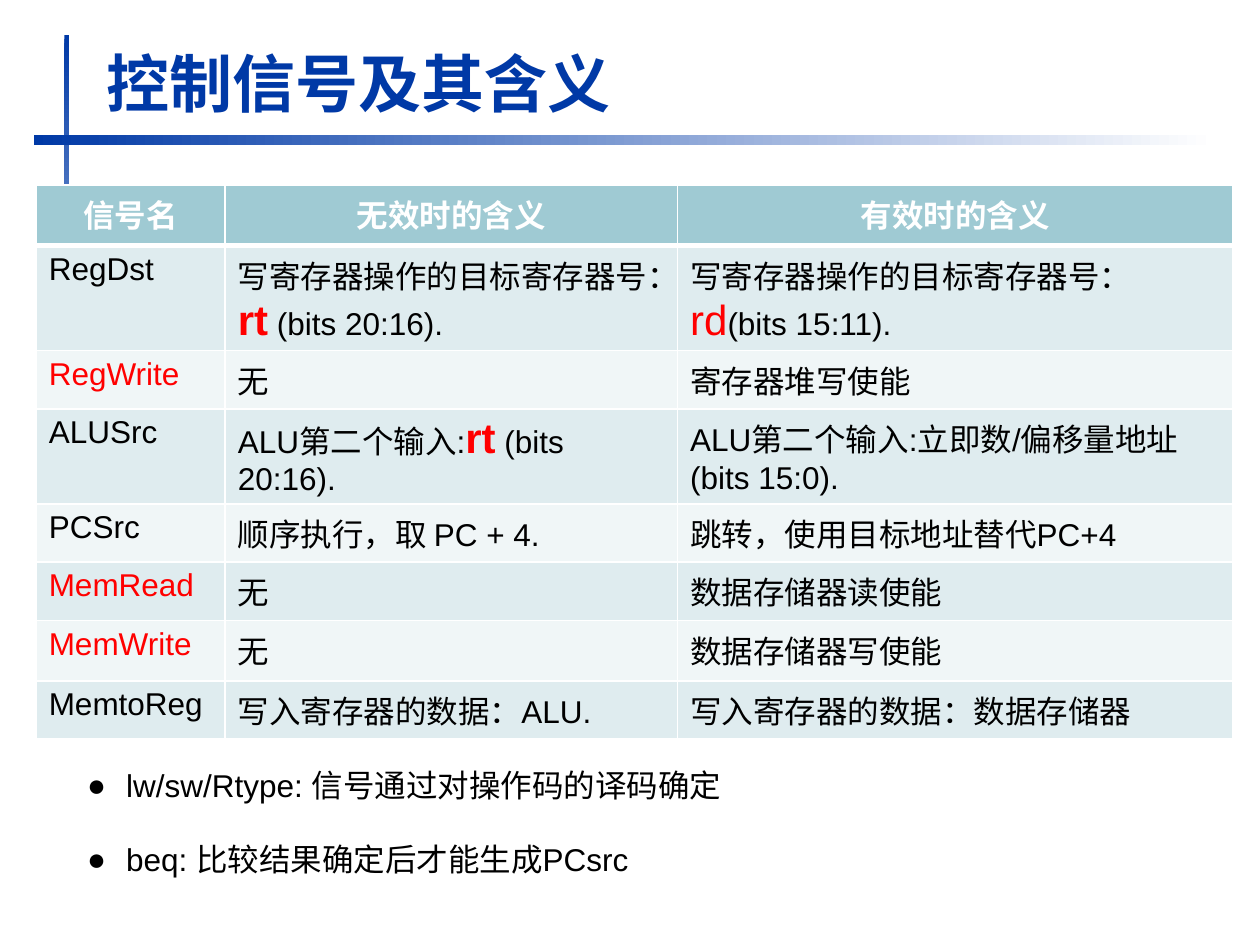
"""Build a slide that explains the control signals of a processor."""
from lxml.etree import SubElement
from pptx import Presentation
from pptx.dml.color import RGBColor as Rgb
from pptx.enum.shapes import MSO_SHAPE as Shape
from pptx.enum.text import MSO_ANCHOR as Anchor, MSO_AUTO_SIZE as AutoSize, PP_ALIGN as Align
from pptx.oxml.ns import qn
from pptx.util import Cm, Pt

COLORS = {"blue": "0039A6", "white": "FFFFFF", "black": "000000", "red": "FF0000",
          "header": "9FCAD3", "odd": "DFECEF", "even": "F0F6F7"}
HEADERS = ["信号名", "无效时的含义", "有效时的含义"]
DESTINATION = "写寄存器操作的目标寄存器号："
RT_BITS = [("rt", 24, "red", True), (" (bits 20:16).",)]
SIGNALS = [
    ("RegDst", [[(DESTINATION,)], RT_BITS],
     [[(DESTINATION,)], [("rd", 24, "red"), ("(bits 15:11).",)]]),
    ("RegWrite", "无", "寄存器堆写使能"),
    ("ALUSrc", [[("ALU第二个输入:",), *RT_BITS]], "ALU第二个输入:立即数/偏移量地址(bits 15:0)."),
    ("PCSrc", "顺序执行，取 PC + 4.", "跳转，使用目标地址替代PC+4"),
    ("MemRead", "无", "数据存储器读使能"),
    ("MemWrite", "无", "数据存储器写使能"),
    ("MemtoReg", "写入寄存器的数据：ALU.", "写入寄存器的数据：数据存储器"),
]
ENABLES = {"RegWrite", "MemRead", "MemWrite"}
COLUMN_WIDTHS = [3.81, 9.12, 11.2]
ROW_HEIGHTS = [1.22, 1.22, 1.14, 1.22, 1.14, 1.14, 1.22, 1.14]
NOTES = ["lw/sw/Rtype: 信号通过对操作码的译码确定", "beq: 比较结果确定后才能生成PCsrc"]


class SlideBuilder:
    """Hold the style and the current slide."""

    font_name = "Arial"
    text_size = 18

    def __init__(self, deck):
        """Add a title-and-content slide to the deck."""
        self.slide = deck.slides.add_slide(deck.slide_layouts[1])

    def color(self, name):
        """Return the named colour."""
        return Rgb.from_string(COLORS[name])

    def style(self, font, size=text_size, color="black", bold=False):
        """Format a font."""
        font.name, font.size, font.bold = self.font_name, Pt(size), bold
        font.color.rgb = self.color(color)

    def place(self, shape, left, top, width, height):
        """Move and size a shape, in centimetres."""
        shape.left, shape.top = Cm(left), Cm(top)
        shape.width, shape.height = Cm(width), Cm(height)

    def bar(self, left, top, width, height, angle):
        """Draw a bar that fades from blue to white."""
        bar = self.slide.shapes.add_shape(Shape.RECTANGLE, Cm(left), Cm(top), Cm(width), Cm(height))
        bar.shadow.inherit = False
        bar.line.fill.background()
        bar.fill.gradient()
        bar.fill.gradient_angle = angle
        for stop, name, position in zip(bar.fill.gradient_stops, ("blue", "white"), (0, 1)):
            stop.color.rgb, stop.position = self.color(name), position

    def title(self, text, *area):
        """Fill the title placeholder."""
        title = self.slide.shapes.title
        self.place(title, *area)
        frame = title.text_frame
        frame.text = text
        frame.auto_size, frame.vertical_anchor = AutoSize.NONE, Anchor.BOTTOM
        para = frame.paragraphs[0]
        para.alignment = Align.LEFT
        self.style(para.runs[0].font, 36, "blue", True)

    def bullets(self, items, *area):
        """Fill the body placeholder with a bulleted list."""
        body = self.slide.placeholders[1]
        self.place(body, *area)
        frame = body.text_frame
        frame.text = "\n".join(items)
        frame.auto_size, frame.vertical_anchor = AutoSize.NONE, Anchor.TOP
        for index, para in enumerate(frame.paragraphs):
            para.space_before = Pt(20.7 if index else 0)
            properties = para._p.get_or_add_pPr()
            properties.set("marL", str(Cm(0.79)))
            properties.set("indent", str(-Cm(0.79)))
            SubElement(properties, qn("a:buFont"), typeface=self.font_name)
            SubElement(properties, qn("a:buChar"), char="●")
            self.style(para.runs[0].font)

    def borders(self, cell, bottom=1):
        """Give a cell white borders."""
        properties = cell._tc.get_or_add_tcPr()
        for side, width in (("L", 1), ("R", 1), ("T", 1), ("B", bottom)):
            line = SubElement(properties, qn(f"a:ln{side}"), w=str(Pt(width)))
            fill = SubElement(line, qn("a:solidFill"))
            SubElement(fill, qn("a:srgbClr"), val=COLORS["white"])

    def cell(self, cell, content, fill, color="black", header=False):
        """Write a plain string or paragraphs of styled spans into a cell."""
        self.borders(cell, 3 if header else 1)
        cell.fill.solid()
        cell.fill.fore_color.rgb = self.color(fill)
        if isinstance(content, str):
            content = [[(content, self.text_size, color, header)]]
        frame = cell.text_frame
        for index, spans in enumerate(content):
            para = frame.add_paragraph() if index else frame.paragraphs[0]
            para.alignment = Align.CENTER if header else Align.LEFT
            for text, *look in spans:
                span = para.add_run()
                span.text = text
                self.style(span.font, *look)

    def table(self, headers, rows, left, top):
        """Add the banded signal table."""
        frame = self.slide.shapes.add_table(len(rows) + 1, len(headers), Cm(left), Cm(top),
                                            Cm(sum(COLUMN_WIDTHS)), Cm(sum(ROW_HEIGHTS)))
        table = frame.table
        for column, width in zip(table.columns, COLUMN_WIDTHS):
            column.width = Cm(width)
        for row, height in zip(table.rows, ROW_HEIGHTS):
            row.height = Cm(height)
        for column, text in enumerate(headers):
            self.cell(table.cell(0, column), text, "header", "white", True)
        for index, row in enumerate(rows, 1):
            for column, content in enumerate(row):
                color = "red" if content in ENABLES_LIST else "black"
                self.cell(table.cell(index, column), content, "odd" if index % 2 else "even", color)


ENABLES_LIST = sorted(ENABLES)


def main():
    """Build and save the deck."""
    deck = Presentation()
    deck.slide_width, deck.slide_height = Cm(25.4), Cm(19.05)
    page = SlideBuilder(deck)
    page.bar(1.3, 0.71, 0.1, 10.59, 270)
    page.bar(0.69, 2.72, 23.8, 0.2, 0)
    page.title("控制信号及其含义", 1.9, 0.74, 22.94, 1.8)
    page.table(HEADERS, SIGNALS, 0.73, 3.73)
    page.bullets(NOTES, 1.5, 15.32, 22.81, 2.57)
    deck.save("out.pptx")


if __name__ == "__main__":
    main()
